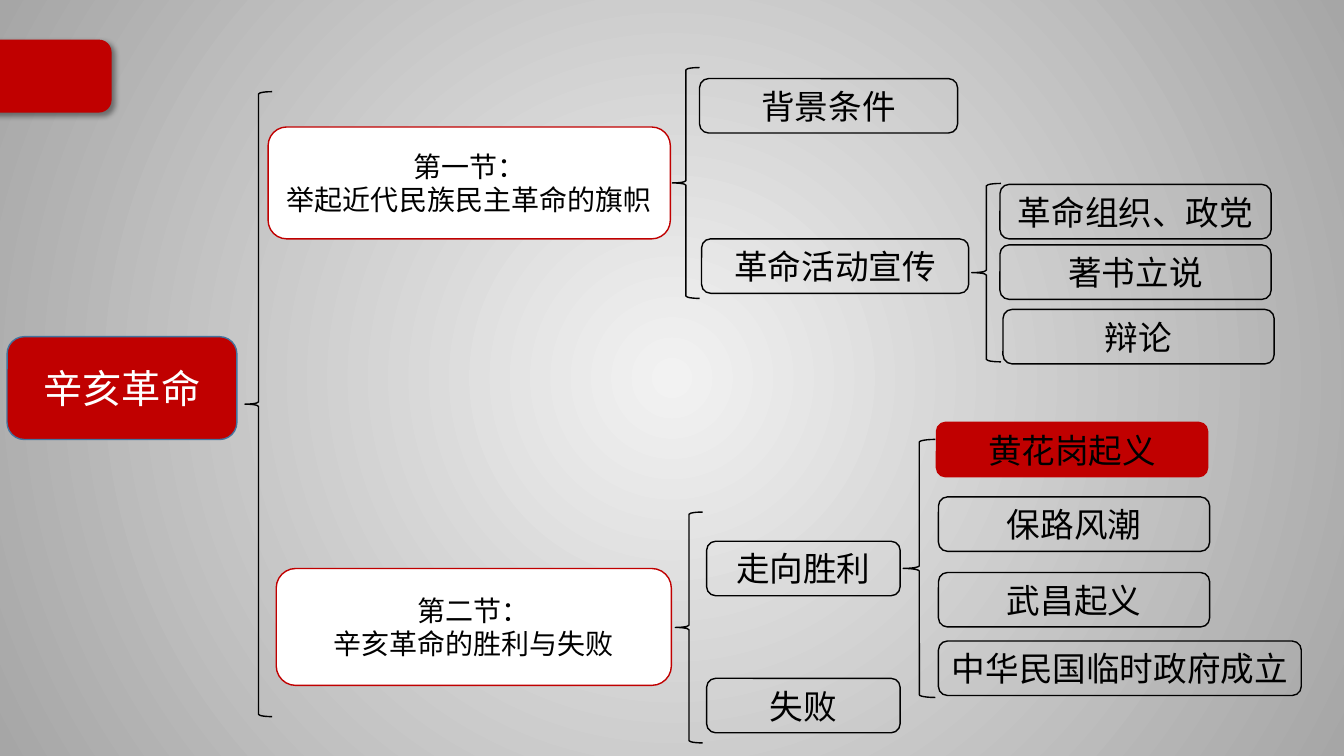
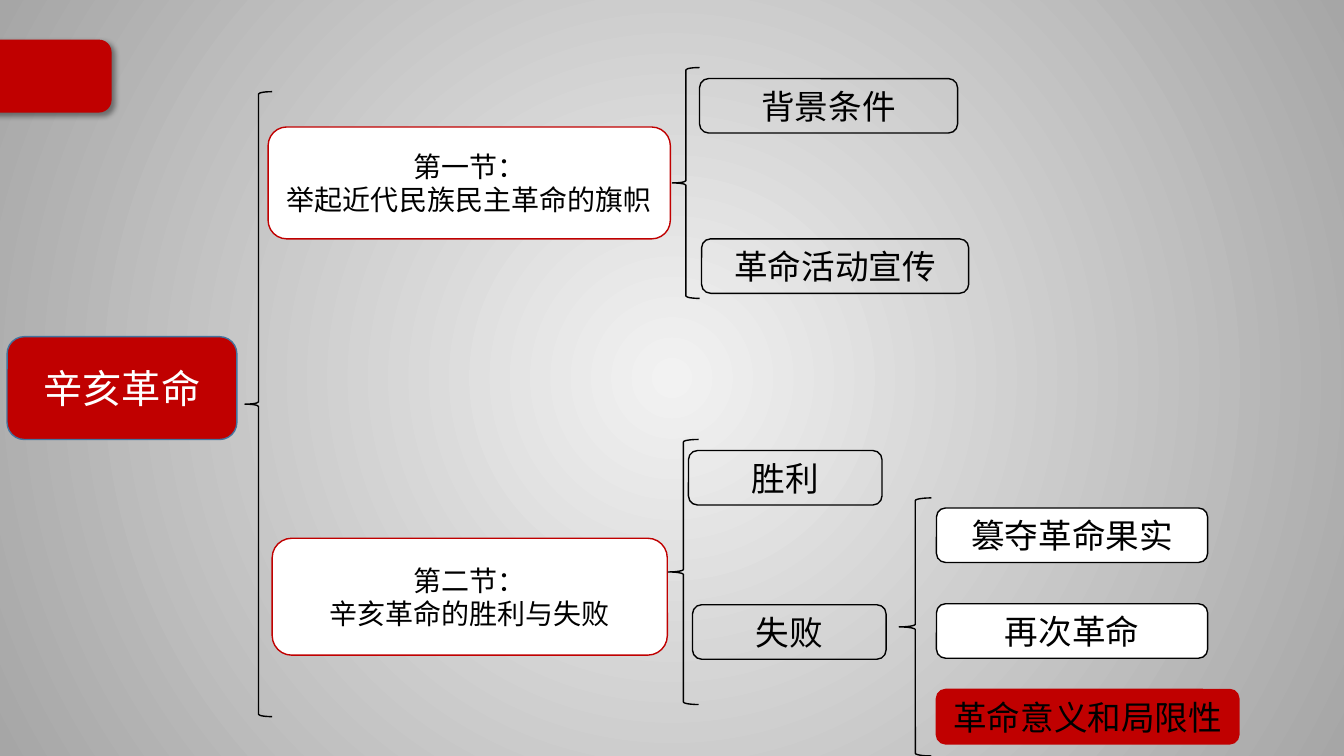
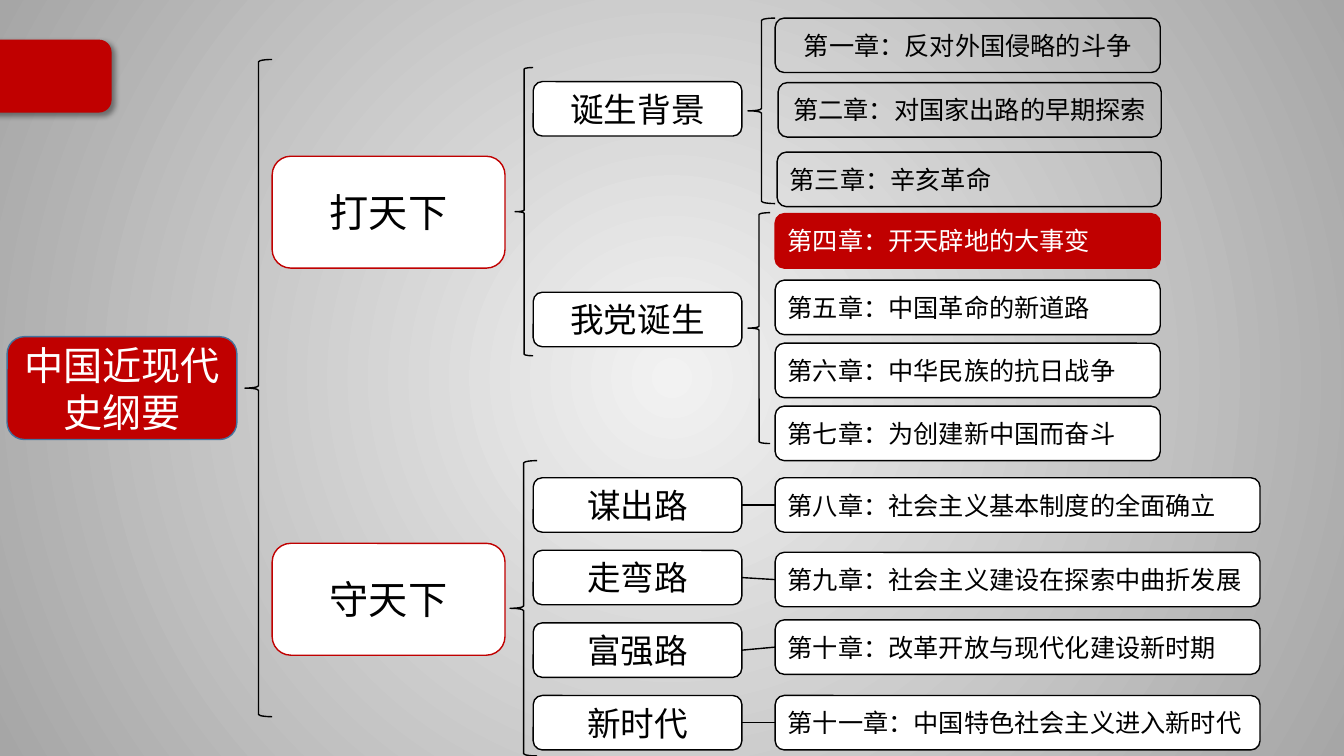
import pptx
import pptx.util
import pptx.dml.color
import pptx.enum.dml
import pptx.enum.lang
import pptx.enum.shapes
import pptx.enum.text
import pptx.oxml
import pptx.oxml.ns
from dataclasses import dataclass
from typing import Optional

SHAPE = pptx.enum.shapes.MSO_SHAPE
ALIGN = pptx.enum.text.PP_ALIGN
FONT = "Noto Sans CJK SC"
RED, BLACK, WHITE, BLUE = "C00000", "000000", "FFFFFF", "43739E"
GRADIENT = ("F2F2F2", "A6A6A6")
CELL = 0.1
COLUMNS, ROWS = 133.33, 75
ITEM_HEIGHT = 5.4


@dataclass(frozen=True)
class Style:
    size: int
    fill: Optional[str] = None
    line: str = BLACK
    color: str = BLACK
    align: ALIGN = ALIGN.CENTER


ROOT = Style(28, RED, BLUE, WHITE)
SECTION = Style(20, WHITE, RED)
PART = Style(28, WHITE, RED)
ITEM = Style(24)
WHITE_ITEM = Style(24, WHITE)
CURRENT_ITEM = Style(24, RED, RED)
PAST_CENTERED = Style(18)
PAST = Style(18, align=ALIGN.LEFT)
CURRENT = Style(18, RED, RED, WHITE, ALIGN.LEFT)
CHAPTER = Style(18, WHITE, align=ALIGN.LEFT)


def cells(count):
    return pptx.util.Inches(count * CELL)


def rgb(value):
    return pptx.dml.color.RGBColor.from_string(value)


def xml(tag, attributes="", inner=""):
    namespace = pptx.oxml.ns.nsdecls("a")
    return pptx.oxml.parse_xml(f"<a:{tag} {namespace} {attributes}>{inner}</a:{tag}>")


def outline(line, color):
    line.color.rgb = rgb(color)
    line.width = pptx.util.Pt(1)


def outlined(slide, preset, place, fill, line):
    shape = slide.shapes.add_shape(preset, *map(cells, place))
    shape.shadow.inherit = False
    if fill:
        shape.fill.solid()
        shape.fill.fore_color.rgb = rgb(fill)
    else:
        shape.fill.background()
    outline(shape.line, line)
    return shape


def brace(slide, *place):
    outlined(slide, SHAPE.LEFT_BRACE, place, None, BLACK)


def node(slide, text, style, left, top, width, height=ITEM_HEIGHT):
    box = outlined(slide, SHAPE.ROUNDED_RECTANGLE, (left, top, width, height),
                   style.fill, style.line)
    frame = box.text_frame
    frame.word_wrap = True
    frame.vertical_anchor = pptx.enum.text.MSO_ANCHOR.MIDDLE
    frame.text = text
    for paragraph in frame.paragraphs:
        paragraph.alignment = style.align
        for run in paragraph.runs:
            run.font.size = pptx.util.Pt(style.size)
            run.font.color.rgb = rgb(style.color)
            run.font.language_id = pptx.enum.lang.MSO_LANGUAGE_ID.SIMPLIFIED_CHINESE
            run.font.name = FONT
            run._r.get_or_add_rPr().append(xml("ea", f'typeface="{FONT}"'))
    return box


def nodes(slide, left, width, entries, style):
    return [node(slide, text, style, left, top, width) for text, top in entries]


def stacked(texts, first, step):
    return [(text, first + step * index) for index, text in enumerate(texts)]


def link(slide, chapter, stage):
    connector = slide.shapes.add_connector(
        pptx.enum.shapes.MSO_CONNECTOR.STRAIGHT, 0, 0, 0, 0)
    connector.begin_connect(chapter, 1)
    connector.end_connect(stage, 3)
    outline(connector.line, BLACK)
    connector._element.spPr.append(xml("effectLst"))


def root(slide, text):
    node(slide, text, ROOT, 0.7, 33.4, 22.8, 10.2)


def decorate_master(master, slide):
    fill = master.background.fill
    fill.gradient()
    for stop, color, position in zip(fill.gradient_stops, GRADIENT, (0, 1)):
        stop.color.rgb = rgb(color)
        stop.position = position
    direction = master.element.find(".//" + pptx.oxml.ns.qn("a:lin"))
    direction.getparent().replace(direction, xml(
        "path", 'path="circle"',
        '<a:fillToRect l="50000" t="50000" r="50000" b="50000"/>'))
    tab = outlined(slide, SHAPE.ROUNDED_RECTANGLE, (-1.8, 4, 12.8, 7.1), RED, RED)
    effects = tab._element.spPr.find(pptx.oxml.ns.qn("a:effectLst"))
    effects.append(xml(
        "outerShdw", 'blurRad="50800" dist="38100" dir="2700000"',
        f'<a:srgbClr val="{BLACK}"><a:alpha val="40000"/></a:srgbClr>'))
    master.element.cSld.spTree.append(tab._element)


def revolution_outline(slide, second_left, second_top):
    root(slide, "辛亥革命")
    brace(slide, 24.3, 9.1, 2.7, 62)
    node(slide, "第一节：\n举起近代民族民主革命的旗帜", SECTION, 26.6, 12.6, 39.9, 11.1)
    node(slide, "第二节：\n辛亥革命的胜利与失败", SECTION,
         second_left, second_top, 39.2, 11.6)
    brace(slide, 66.7, 6.7, 2.7, 22.9)
    node(slide, "背景条件", ITEM, 69.4, 7.8, 25.6)
    node(slide, "革命活动宣传", ITEM, 69.6, 23.7, 26.5)


def victory_slide(slide):
    revolution_outline(slide, 27.4, 56.4)
    brace(slide, 96.4, 18.2, 2.9, 17.7)
    nodes(slide, 99.2, 26.9, [("革命组织、政党", 18.3), ("著书立说", 24.3)], ITEM)
    node(slide, "辩论", ITEM, 99.5, 30.7, 26.9)
    brace(slide, 67, 50.8, 2.7, 22.9)
    nodes(slide, 70.1, 19.2, [("走向胜利", 53.7), ("失败", 67.3)], ITEM)
    brace(slide, 89.6, 43.6, 3.2, 25.6)
    node(slide, "黄花岗起义", CURRENT_ITEM, 92.9, 41.9, 26.9)
    nodes(slide, 93.1, 26.9, [("保路风潮", 49.3), ("武昌起义", 56.8)], ITEM)
    node(slide, "中华民国临时政府成立", ITEM, 93.1, 63.6, 36)


def failure_slide(slide):
    revolution_outline(slide, 27, 53.4)
    brace(slide, 66.3, 43.6, 3, 26.3)
    node(slide, "胜利", ITEM, 68.3, 44.7, 19.2)
    node(slide, "失败", ITEM, 68.7, 60, 19.2)
    brace(slide, 89.2, 49.4, 3.2, 25.6)
    nodes(slide, 92.9, 26.9, [("篡夺革命果实", 50.4), ("再次革命", 59.9)], WHITE_ITEM)
    node(slide, "革命意义和局限性", CURRENT_ITEM, 92.9, 68.4, 30)


def course_slide(slide):
    root(slide, "中国近现代史纲要")
    brace(slide, 24.3, 5.9, 2.7, 65.2)
    for text, top in (("打天下", 15.5), ("守天下", 53.9)):
        node(slide, text, PART, 27, top, 23.1, 11.1)
    brace(slide, 51.1, 6.7, 1.8, 28.6)
    brace(slide, 50.6, 45.7, 2.7, 29.3)
    nodes(slide, 52.9, 20.7, [("诞生背景", 8.1), ("我党诞生", 29)], WHITE_ITEM)
    stages = nodes(slide, 52.9, 20.7, stacked(
        ["谋出路", "走弯路", "富强路", "新时代"], 47.4, 7.2), WHITE_ITEM)
    brace(slide, 74.2, 1.8, 2.7, 18.4)
    brace(slide, 74.2, 21.1, 2.2, 22.9)
    node(slide, "第一章：反对外国侵略的斗争", PAST_CENTERED, 76.9, 1.8, 38.2)
    node(slide, "第二章：对国家出路的早期探索", PAST_CENTERED, 77.2, 8.2, 38)
    node(slide, "第三章：辛亥革命", PAST, 77.1, 15.1, 38.1)
    node(slide, "第四章：开天辟地的大事变", CURRENT, 76.9, 21.2, 38.2)
    nodes(slide, 76.9, 38.2, stacked(
        ["第五章：中国革命的新道路", "第六章：中华民族的抗日战争",
         "第七章：为创建新中国而奋斗"], 27.8, 6.25), CHAPTER)
    chapters = nodes(slide, 76.9, 48.1, [
        ("第八章：社会主义基本制度的全面确立", 47.4),
        ("第九章：社会主义建设在探索中曲折发展", 54.8),
        ("第十章：改革开放与现代化建设新时期", 61.5),
        ("第十一章：中国特色社会主义进入新时代", 69)], CHAPTER)
    for chapter, stage in zip(chapters, stages):
        link(slide, chapter, stage)


def main():
    deck = pptx.Presentation()
    deck.slide_width, deck.slide_height = cells(COLUMNS), cells(ROWS)
    blank = deck.slide_layouts[6]
    builders = (victory_slide, failure_slide, course_slide)
    slides = [deck.slides.add_slide(blank) for _ in builders]
    decorate_master(deck.slide_master, slides[0])
    for build, slide in zip(builders, slides):
        build(slide)
    deck.save("out.pptx")


if __name__ == "__main__":
    main()
